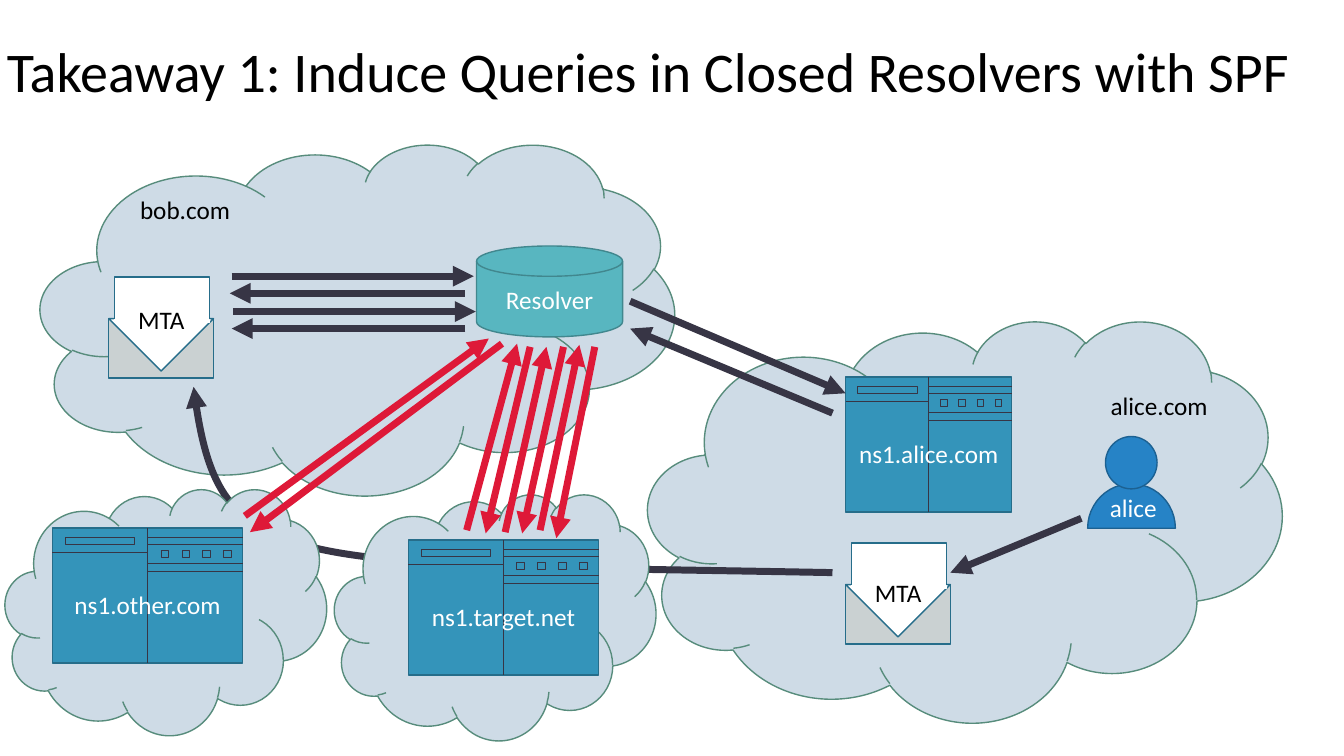
from lxml.etree import SubElement
from pptx import Presentation
from pptx.dml.color import RGBColor
from pptx.enum.shapes import MSO_CONNECTOR as Link, MSO_SHAPE as Kind
from pptx.enum.text import MSO_ANCHOR as Anchor, MSO_AUTO_SIZE as Fit, PP_ALIGN as Align
from pptx.oxml.ns import qn
from pptx.util import Cm, Pt

hue = RGBColor.from_string
DARK, RED, WHITE, BLACK = "373545", "DE1938", "FFFFFF", "000000"
STEEL, EDGE, BLUE, NAVY = "3494BA", "266D8A", "2683C6", "1C6192"


def put(home, kind, box, fill=None, line=None, text="", ink=WHITE, width=1, align=Align.CENTER):
    """Add a shape, or a text box when kind is None, to a shape tree."""
    spot = [Cm(n) for n in box]
    if kind is None:
        item = home.add_textbox(*spot)
    else:
        item = home.add_shape(kind, *spot)
        item.shadow.inherit = False
        item.fill.solid()
        item.fill.fore_color.rgb = hue(fill)
        item.line.color.rgb = hue(line)
        item.line.width = Pt(width)
    if text:
        frame = item.text_frame
        frame.word_wrap = True
        par = frame.paragraphs[0]
        par.alignment = align
        run = par.add_run()
        run.text = text
        run.font.name, run.font.size = "Calibri", Pt(18)
        run.font.color.rgb = hue(ink)
    return item


def join(home, ends, color=DARK, width=0.5, head=False):
    """Add a straight line, with an arrowhead at its end if asked."""
    wire = home.add_connector(Link.STRAIGHT, *[Cm(n) for n in ends])
    wire.line.color.rgb = hue(color)
    wire.line.width = Pt(width)
    if head:
        SubElement(wire.line._get_or_add_ln(), qn("a:tailEnd"), type="triangle")
    SubElement(wire._element.spPr, qn("a:effectLst"))
    return wire


deck = Presentation()
deck.slide_width, deck.slide_height = Cm(33.87), Cm(19.05)
slide = deck.slides.add_slide(deck.slide_layouts[5])
tree = slide.shapes

# Title
title = tree.title
title.left, title.top, title.width, title.height = Cm(-0.08), Cm(0.03), Cm(33.93), Cm(3.68)
frame = title.text_frame
frame.word_wrap, frame.auto_size = True, Fit.NONE
frame.vertical_anchor = Anchor.MIDDLE
par = frame.paragraphs[0]
par.alignment, par.line_spacing = Align.LEFT, 0.9
run = par.add_run()
run.text = "Takeaway 1: Induce Queries in Closed Resolvers with SPF"
run.font.name, run.font.size = "Calibri", Pt(40)
run.font.color.rgb = hue(BLACK)

# Large clouds
mist = ("CEDBE6", "578C7C")
for box in [(1.02, 3.63, 15.98, 8.84), (16.33, 8.08, 15.98, 10.11)]:
    put(tree, Kind.CLOUD, box, *mist)

# Mail route from alice to bob, curved behind the small clouds
knots = [(20.98, 14.43), (7.34, 14.17), (5.46, 14.55), (4.88, 9.75)]
pen = tree.build_freeform(Cm(knots[0][0]), Cm(knots[0][1]))
pen.add_line_segments([(Cm(x), Cm(y)) for x, y in knots[1:]], close=False)
curve = pen.convert_to_shape()
curve.shadow.inherit = False
curve.fill.background()
curve.line.color.rgb = hue(DARK)
curve.line.width = Pt(5)
SubElement(curve.line._get_or_add_ln(), qn("a:tailEnd"), type="triangle")
route = curve._element.spPr.find(".//" + qn("a:path"))
bend = SubElement(route, qn("a:cubicBezTo"))
for step in route.findall(qn("a:lnTo")):
    bend.append(step[0])
    route.remove(step)

# Small clouds
for box in [(0.13, 12.32, 8.1, 6.2), (8.43, 12.45, 8.1, 6.2)]:
    put(tree, Kind.CLOUD, box, *mist)

# Domain names
for x, y, name in [(3.28, 4.78, "bob.com"), (27.74, 9.7, "alice.com")]:
    put(tree, None, (x, y, 4.27, 1.02), text=name, ink=BLACK, align=Align.LEFT)

# Person
user = tree.add_group_shape().shapes
body = put(user, Kind.PIE, (27.41, 12.19, 2.21, 2.24), BLUE, NAVY)
body.adjustments[0], body.adjustments[1] = 0, 108
body.rotation = 180
put(user, Kind.OVAL, (27.86, 11, 1.3, 1.32), BLUE, NAVY)
put(user, None, (27.25, 12.27, 2.62, 1.02), text="alice")

# Mail agents drawn as open envelopes
for x, y, top in [(21.31, 14.73, 14.43), (2.74, 8.03, 7.54)]:
    mail = tree.add_group_shape().shapes
    put(mail, Kind.RECTANGLE, (x, y, 2.64, 1.5), "CAD1D2", EDGE)
    flap = put(mail, Kind.ISOSCELES_TRIANGLE, (x, y, 2.64, 1.32), WHITE, EDGE)
    flap.rotation = 180
    put(mail, Kind.RECTANGLE, (x + 0.15, y - 1.05, 2.39, 1.12), WHITE, EDGE)
    put(mail, Kind.RECTANGLE, (x + 0.15, y + 0.02, 2.39, 0.08), WHITE, WHITE)
    put(mail, None, (x + 0.13, top, 2.39, 1.02), text="MTA", ink=BLACK)

# Resolver
put(tree, Kind.FLOWCHART_MAGNETIC_DISK, (12.01, 6.2, 3.68, 2.29),
    "58B6C0", "41878E", "Resolver")

# Queries to the other and target servers
for ends in [
    (14.99, 8.74, 14.02, 13.56), (13.61, 13.36, 14.6, 8.69),
    (14.2, 8.74, 13.16, 13.44), (12.73, 13.41, 13.77, 8.74),
    (13.36, 8.74, 12.24, 13.44), (11.76, 13.36, 13.03, 8.66),
    (12.65, 8.66, 6.3, 13.41), (6.17, 13, 12.32, 8.53),
]:
    join(tree, ends, RED, 5, True)

# Name servers
for x, y, w, name in [
    (10.29, 13.61, 4.8, "ns1.target.net"),
    (1.32, 13.31, 4.8, "ns1.other.com"),
    (21.31, 9.5, 4.19, "ns1.alice.com"),
]:
    rack = tree.add_group_shape().shapes
    mid = x + w / 2
    case = put(rack, Kind.RECTANGLE, (x, y, w, 3.4), STEEL, EDGE)
    seam = join(rack, (mid, y, mid, y + 3.4))
    seam.begin_connect(case, 0)
    seam.end_connect(case, 2)
    join(rack, (x, y + 0.61, mid, y + 0.61))
    for drop in (0.23, 0.41, 0.89, 1.09):
        join(rack, (mid, y + drop, x + w, y + drop))
    put(rack, Kind.RECTANGLE, (x + 0.07 * w, y + 0.23, 0.36 * w, 0.18), STEEL, DARK, width=0.5)
    for n in range(4):
        left = x + (0.57 + 0.11 * n) * w
        put(rack, Kind.RECTANGLE, (left, y + 0.56, 0.04 * w, 0.18), STEEL, DARK, width=0.5)
    put(rack, None, (x, y + 1.42, w, 1.02), text=name)

# Mail hand-over and the remaining queries
for ends in [
    (27.25, 13.06, 23.95, 14.43),
    (15.88, 7.59, 21.31, 9.91), (20.98, 10.41, 15.88, 8.28),
    (5.84, 6.96, 11.94, 6.96), (11.71, 7.39, 5.79, 7.39),
    (5.87, 7.85, 11.99, 7.85), (11.73, 8.28, 5.84, 8.28),
]:
    join(tree, ends, DARK, 5, True)

deck.save("out.pptx")
